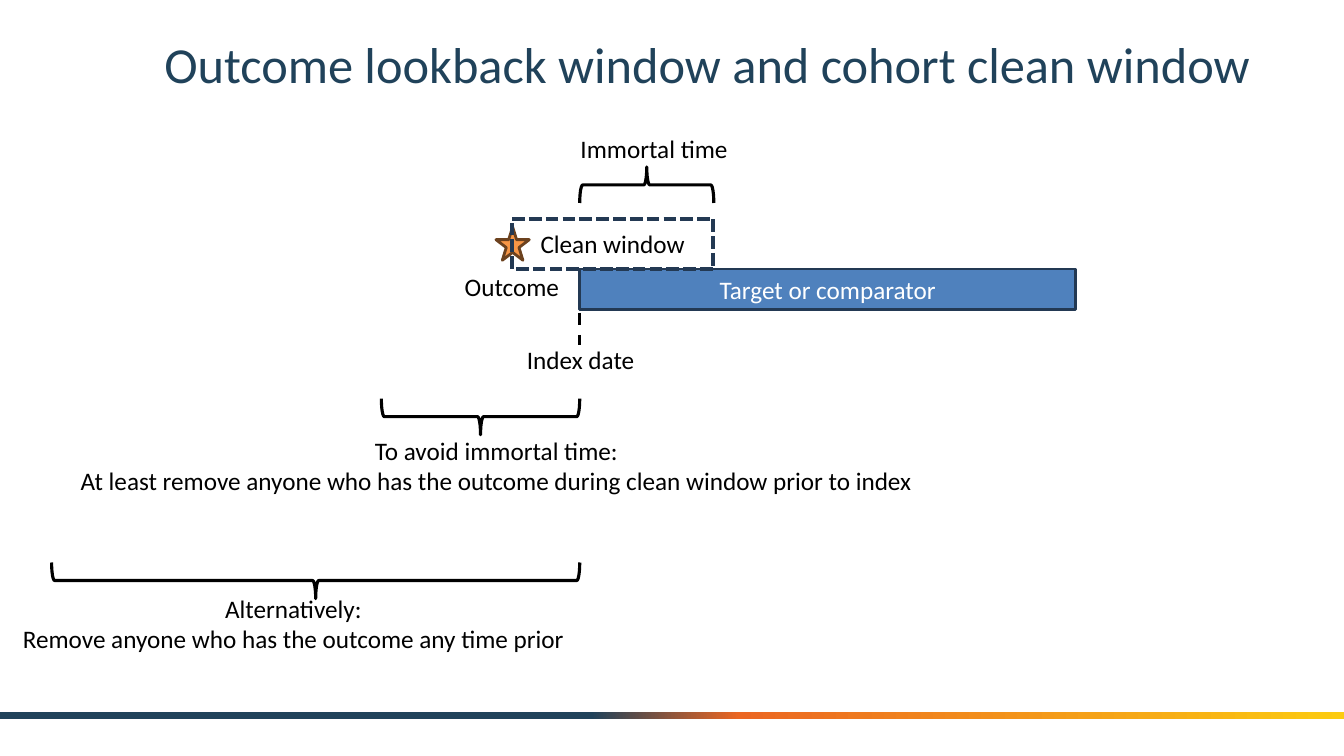
from lxml import etree
from pptx import Presentation
from pptx import util as u
from pptx.dml.color import RGBColor
from pptx.enum import dml, shapes, text
from pptx.oxml import parse_xml
from pptx.oxml.ns import nsdecls, qn

KIND = shapes.MSO_SHAPE
DASH = dml.MSO_LINE
LEFT, CENTER = text.PP_ALIGN.LEFT, text.PP_ALIGN.CENTER
TOP, MIDDLE = text.MSO_ANCHOR.TOP, text.MSO_ANCHOR.MIDDLE
NAVY, BLACK, WHITE = "20425A", "000000", "FFFFFF"

WIDTH, HEIGHT = 33.87, 19.05
INDEX_X, BAR_TOP, INDEX_BOTTOM = 14.61, 6.78, 8.69
BRACE_DEPTH = 0.91

TITLE = ("Outcome lookback window and cohort clean window", (3.48, 0.43, 28.7, 2.34))
STRIPE = (0, 17.93, WIDTH, 0.2)
STRIPE_STOPS = [(44, NAVY), (55, "EB6622"), (100, "FCCB10")]
FIGURES = [
    dict(kind=KIND.RECTANGLE, place=(INDEX_X, BAR_TOP, 12.5, 1.02), fill="4F81BD",
         line="233953", width=2, words="Target or comparator", color=WHITE),
    dict(kind=KIND.STAR_5_POINT, place=(12.5, 5.72, 0.84, 0.84), fill="F79646",
         line="6C421F", width=2),
    dict(kind=KIND.RECTANGLE, place=(12.9, 5.51, 5.08, 1.27), line="233953", width=3,
         dash=DASH.SQUARE_DOT, words="Clean window", color=BLACK),
]
LABELS = [
    (["Immortal time"], (14.38, 3.23, 4.27, 1.02), LEFT),
    (["Outcome"], (11.46, 6.71, 2.92, 1.02), LEFT),
    (["Index date"], (13.03, 8.56, 3.25, 1.02), LEFT),
    (["To avoid immortal time:",
      "At least remove anyone who has the outcome during clean window prior to index"],
     (1.65, 10.85, 21.72, 1.8), CENTER),
    (["Alternatively:", "Remove anyone who has the outcome any time prior"],
     (0.23, 14.83, 14.33, 1.8), CENTER),
]
BRACES = [(3.38, 4.66, 270), (-5.0, 10.5, 90), (-13.31, 14.63, 90)]


def rgb(value):
    return RGBColor.from_string(value)


def cm(values):
    return [u.Cm(value) for value in values]


def write(shape, lines, size, color, align, anchor, wrap):
    frame = shape.text_frame
    frame.word_wrap = wrap
    frame.vertical_anchor = anchor
    for number, words in enumerate(lines):
        para = frame.paragraphs[0] if number == 0 else frame.add_paragraph()
        para.alignment = align
        span = para.add_run()
        span.text = words
        for key, value in dict(name="Calibri", size=u.Pt(size)).items():
            setattr(span.font, key, value)
        span.font.color.rgb = rgb(color)


def stroke(line, color, width, dash=None):
    line.color.rgb = rgb(color)
    for key, value in dict(width=u.Pt(width), dash_style=dash).items():
        setattr(line, key, value)


def add_figure(page, kind, place, fill=None, line=None, width=None, dash=None,
               words=None, color=None):
    shape = page.shapes.add_shape(kind, *cm(place))
    shape.shadow.inherit = False
    if fill:
        shape.fill.solid()
        shape.fill.fore_color.rgb = rgb(fill)
    else:
        shape.fill.background()
    if line:
        stroke(shape.line, line, width, dash)
    else:
        shape.line.fill.background()
    if words:
        write(shape, [words], 18, color, CENTER, MIDDLE, True)
    return shape


def add_stripe(page):
    stripe = add_figure(page, KIND.RECTANGLE, STRIPE)
    stops = "".join(f'<a:gs pos="{pos * 1000}"><a:srgbClr val="{color}"/></a:gs>'
                    for pos, color in STRIPE_STOPS)
    gradient = parse_xml(f'<a:gradFill {nsdecls("a")}><a:gsLst>{stops}</a:gsLst>'
                         '<a:lin ang="0" scaled="0"/></a:gradFill>')
    properties = stripe.element.spPr
    properties.replace(properties.find(qn("a:noFill")), gradient)


def add_label(page, lines, place, size, color, align, anchor=TOP, wrap=False):
    box = page.shapes.add_textbox(*cm(place))
    write(box, lines, size, color, align, anchor, wrap)


def add_index_line(page):
    mark = page.shapes.add_connector(shapes.MSO_CONNECTOR.STRAIGHT,
                                     *cm((INDEX_X, BAR_TOP, INDEX_X, INDEX_BOTTOM)))
    stroke(mark.line, BLACK, 2.25, DASH.DASH)
    etree.SubElement(mark.element.spPr, qn("a:effectLst"))


def add_brace(page, reach, middle, turn):
    length = abs(reach)
    place = (INDEX_X + reach / 2 - BRACE_DEPTH / 2, middle - length / 2, BRACE_DEPTH, length)
    brace = add_figure(page, KIND.RIGHT_BRACE, place, line=BLACK, width=2.25)
    brace.rotation = turn


def main():
    deck = Presentation()
    deck.slide_width, deck.slide_height = cm((WIDTH, HEIGHT))
    page = deck.slides.add_slide(deck.slide_layouts[6])
    add_stripe(page)
    words, place = TITLE
    add_label(page, [words], place, 36, NAVY, CENTER, MIDDLE, True)
    add_index_line(page)
    for figure in FIGURES:
        add_figure(page, **figure)
    for lines, place, align in LABELS:
        add_label(page, lines, place, 18, BLACK, align)
    for brace in BRACES:
        add_brace(page, *brace)
    deck.save("out.pptx")


if __name__ == "__main__":
    main()
